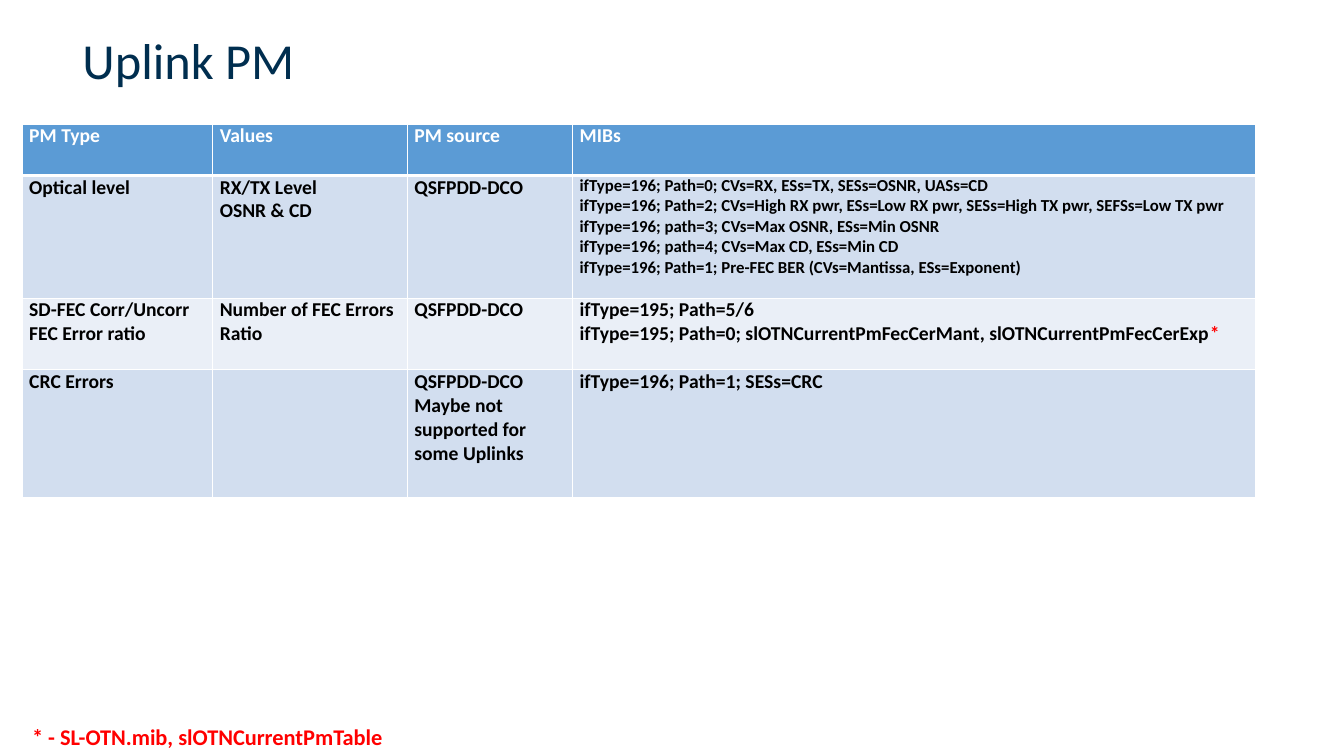
from pptx import Presentation
from pptx import util as u
from pptx.dml.color import RGBColor
from pptx.enum import text
from pptx.oxml import parse_xml
from pptx.oxml.ns import nsdecls

# Content: each cell is a list of lines
TITLE = "Uplink PM"
FOOTNOTE = "* - SL-OTN.mib, slOTNCurrentPmTable"
MARK = "*"
ROWS = [
    [["PM Type"], ["Values"], ["PM source"], ["MIBs"]],
    [["Optical level"], ["RX/TX Level", "OSNR & CD"], ["QSFPDD-DCO"], [
        "ifType=196; Path=0; CVs=RX, ESs=TX, SESs=OSNR, UASs=CD",
        "ifType=196; Path=2; CVs=High RX pwr, ESs=Low RX pwr, SESs=High TX pwr, SEFSs=Low TX pwr",
        "ifType=196; path=3; CVs=Max OSNR, ESs=Min OSNR",
        "ifType=196; path=4; CVs=Max CD, ESs=Min CD",
        "ifType=196; Path=1; Pre-FEC BER (CVs=Mantissa, ESs=Exponent)"]],
    [["SD-FEC Corr/Uncorr", "FEC Error ratio"], ["Number of FEC Errors", "Ratio"],
     ["QSFPDD-DCO"],
     ["ifType=195; Path=5/6",
      "ifType=195; Path=0; slOTNCurrentPmFecCerMant, slOTNCurrentPmFecCerExp*"]],
    [["CRC Errors"], [], ["QSFPDD-DCO", "Maybe not supported for some Uplinks"],
     ["ifType=196; Path=1; SESs=CRC"]],
]
COL_WIDTHS = [1.89, 1.93, 1.64, 6.77]
ROW_HEIGHTS = [0.51, 1.22, 0.71, 1.27]
LONG_CELL = 4  # cells with more lines than this use the small size
C = {"title": "002E4F", "head": "5B9BD5", "odd": "D2DEEF", "even": "EAEFF7",
     "white": "FFFFFF", "black": "000000", "red": "FF0000"}


def rgb(name):
    return RGBColor.from_string(C[name])


def add_run(p, words, size=14, color="black", bold=True):
    r = p.add_run()
    r.text = words
    r.font.name, r.font.size, r.font.bold = "Calibri", u.Pt(size), bold
    r.font.color.rgb = rgb(color)


def add_text(s, box, words, wrap=True, anchor=text.MSO_ANCHOR.TOP, **fmt):
    tf = s.shapes.add_textbox(*map(u.Inches, box)).text_frame
    tf.word_wrap, tf.vertical_anchor = wrap, anchor
    add_run(tf.paragraphs[0], words, **fmt)


def set_borders(cell, **points):
    tc_pr = cell._tc.get_or_add_tcPr()
    for i, (side, width) in enumerate(points.items()):
        tc_pr.insert(i, parse_xml(
            f'<a:ln{side} {nsdecls("a")} w="{u.Pt(width)}"><a:solidFill>'
            f'<a:srgbClr val="{C["white"]}"/></a:solidFill></a:ln{side}>'))


def fill_cell(cell, lines, row):
    head = row == 0
    cell.margin_left = cell.margin_right = u.Inches(0.07)
    cell.margin_top = cell.margin_bottom = 0
    cell.fill.solid()
    cell.fill.fore_color.rgb = rgb("head" if head else "odd" if row % 2 else "even")
    set_borders(cell, L=1, R=1, T=3 if row == 1 else 1, B=3 if head else 1)
    size = 12 if len(lines) > LONG_CELL else 14
    tf = cell.text_frame
    for i, line in enumerate(lines):
        p = tf.add_paragraph() if i else tf.paragraphs[0]
        add_run(p, line.rstrip(MARK), size=size, color="white" if head else "black")
        if line.endswith(MARK):
            add_run(p, MARK, size=size, color="red")


prs = Presentation()
prs.slide_width, prs.slide_height = u.Inches(13.33), u.Inches(7.5)
s = prs.slides.add_slide(prs.slide_layouts[6])

# Title
add_text(s, (0.72, 0.09, 10.94, 0.99), TITLE, anchor=text.MSO_ANCHOR.MIDDLE,
         size=36, color="title", bold=False)

# PM table
table = s.shapes.add_table(
    len(ROWS), len(COL_WIDTHS), u.Inches(0.22), u.Inches(1.23),
    u.Inches(sum(COL_WIDTHS)), u.Inches(sum(ROW_HEIGHTS))).table
for col, width in zip(table.columns, COL_WIDTHS):
    col.width = u.Inches(width)
for i, (height, cells) in enumerate(zip(ROW_HEIGHTS, ROWS)):
    table.rows[i].height = u.Inches(height)
    for j, lines in enumerate(cells):
        fill_cell(table.cell(i, j), lines, i)

# Footnote
add_text(s, (0.22, 7.13, 3.77, 0.37), FOOTNOTE, wrap=False, size=16, color="red")

prs.save("out.pptx")
